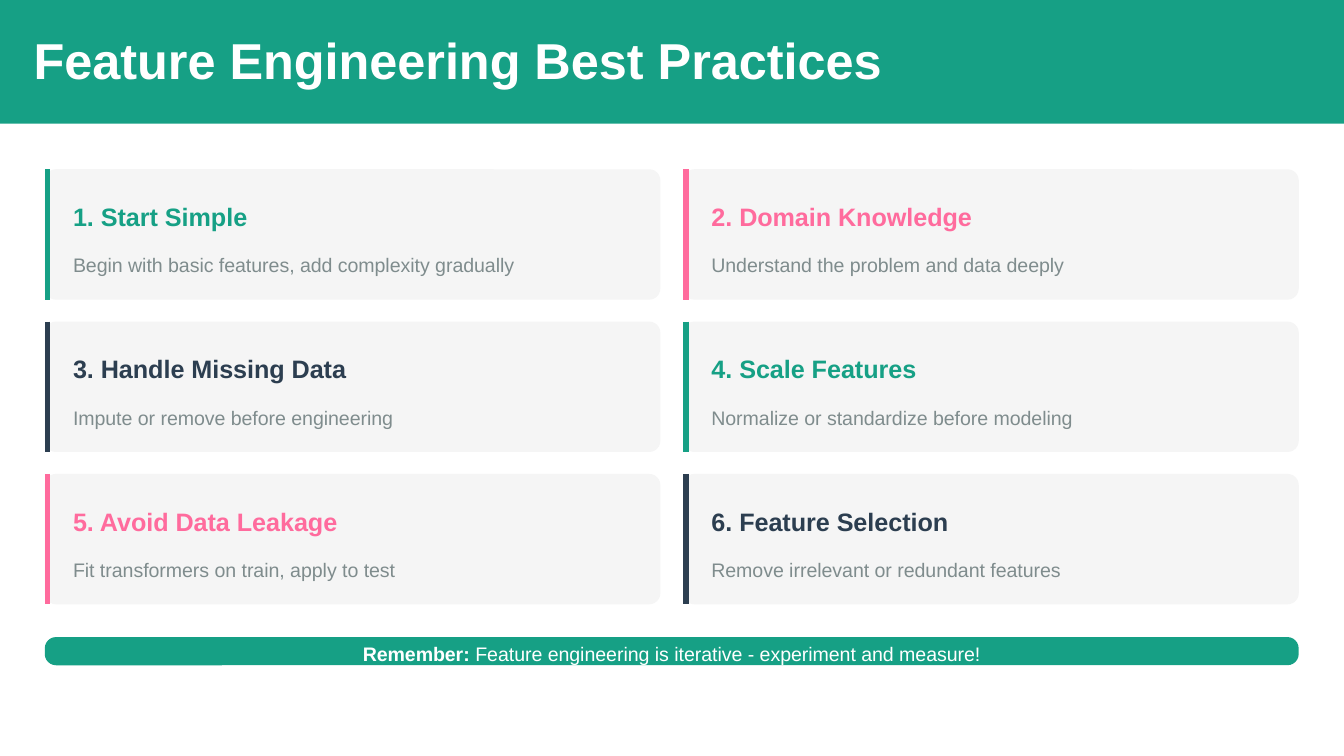
from typing import NamedTuple

from lxml import etree
from pptx import Presentation
from pptx.dml.color import RGBColor
from pptx.enum.shapes import MSO_CONNECTOR, MSO_SHAPE
from pptx.enum.text import PP_ALIGN
from pptx.oxml.ns import qn
from pptx.util import Inches, Pt

RECT = MSO_SHAPE.RECTANGLE
ROUND = MSO_SHAPE.ROUNDED_RECTANGLE
LINE = MSO_CONNECTOR.STRAIGHT
LEFT, CENTER = PP_ALIGN.LEFT, PP_ALIGN.CENTER

GREEN = RGBColor(0x16, 0xA0, 0x85)
PINK = RGBColor(0xFF, 0x6B, 0x9D)
NAVY = RGBColor(0x2C, 0x3E, 0x50)
GRAY = RGBColor(0x7F, 0x8C, 0x8D)
PALE = RGBColor(0xF5, 0xF5, 0xF5)
WHITE = RGBColor(0xFF, 0xFF, 0xFF)

FONT = "Arial"
WIDE = 10
HIGH = WIDE * 9 / 16
COLS = 2
GRID_X, GRID_Y = 1 / 3, 1.26
STEP_X, STEP_Y = 4.75, 3.4 / 3
CARD_W, CARD_H = 4.58, 0.97


class Tip(NamedTuple):
    title: str
    body: str
    color: RGBColor


TIPS = [
    Tip("Start Simple", "Begin with basic features, add complexity gradually", GREEN),
    Tip("Domain Knowledge", "Understand the problem and data deeply", PINK),
    Tip("Handle Missing Data", "Impute or remove before engineering", NAVY),
    Tip("Scale Features", "Normalize or standardize before modeling", GREEN),
    Tip("Avoid Data Leakage", "Fit transformers on train, apply to test", PINK),
    Tip("Feature Selection", "Remove irrelevant or redundant features", NAVY),
]


def add_box(slide, x: float, y: float, w: float, h: float, color: RGBColor,
            kind=RECT, curve: float = 0) -> None:
    box = slide.shapes.add_shape(kind, Inches(x), Inches(y), Inches(w), Inches(h))
    box.shadow.inherit = False
    box.fill.solid()
    box.fill.fore_color.rgb = color
    box.line.fill.background()
    if curve:
        box.adjustments[0] = curve


def add_text(slide, text: str, x: float, y: float, w: float, h: float, *,
             size: float, color: RGBColor, lead: float, lede: str = "",
             bold: bool = False, after: float = 0, align=LEFT) -> None:
    """Add one paragraph; lede is a bold opening before the text."""
    box = slide.shapes.add_textbox(Inches(x), Inches(y), Inches(w), Inches(h))
    frame = box.text_frame
    frame.word_wrap = True
    frame.margin_left = frame.margin_right = 0
    frame.margin_top = frame.margin_bottom = 0
    para = frame.paragraphs[0]
    para.alignment = align
    para.line_spacing = Pt(lead)
    para.space_after = Pt(after)
    for part, heavy in ((lede, True), (text, bold)):
        if part:
            run = para.add_run()
            run.text = part
            run.font.name = FONT
            run.font.size = Pt(size)
            run.font.bold = heavy
            run.font.color.rgb = color


def add_edge(slide, x: float, y: float, h: float, color: RGBColor) -> None:
    edge = slide.shapes.add_connector(LINE, Inches(x), Inches(y), Inches(x), Inches(y + h))
    edge.line.color.rgb = color
    edge.line.width = Pt(3)
    etree.SubElement(edge.element.spPr, qn("a:effectLst"))


def add_card(slide, index: int, tip: Tip) -> None:
    row, col = divmod(index, COLS)
    x, y = GRID_X + col * STEP_X, GRID_Y + row * STEP_Y
    add_box(slide, x, y, CARD_W, CARD_H, PALE, ROUND, 0.086)
    add_edge(slide, x + 0.02, y, CARD_H, tip.color)
    add_text(slide, f"{index + 1}. {tip.title}", x + 0.21, y + 0.17, 4.29, 0.29,
             size=13.5, color=tip.color, lead=21, bold=True, after=3.6)
    add_text(slide, tip.body, x + 0.21, y + 0.59, 4.29, 0.21,
             size=10.5, color=GRAY, lead=15)


def main() -> None:
    deck = Presentation()
    deck.slide_width, deck.slide_height = Inches(WIDE), Inches(HIGH)
    slide = deck.slides.add_slide(deck.slide_layouts[6])

    add_box(slide, 0, 0, WIDE, 0.92, GREEN)
    add_text(slide, "Feature Engineering Best Practices", 0.25, 0.25, 6.45, 0.42,
             size=27, color=WHITE, lead=30, bold=True)
    for index, tip in enumerate(TIPS):
        add_card(slide, index, tip)

    add_box(slide, GRID_X, 4.74, 9.33, 0.21, GREEN, ROUND, 0.4)
    add_text(slide, " Feature engineering is iterative - experiment and measure!",
             2.64, 4.74, 4.72, 0.21, lede="Remember:",
             size=10.5, color=WHITE, lead=15, align=CENTER)
    deck.save("out.pptx")


if __name__ == "__main__":
    main()
